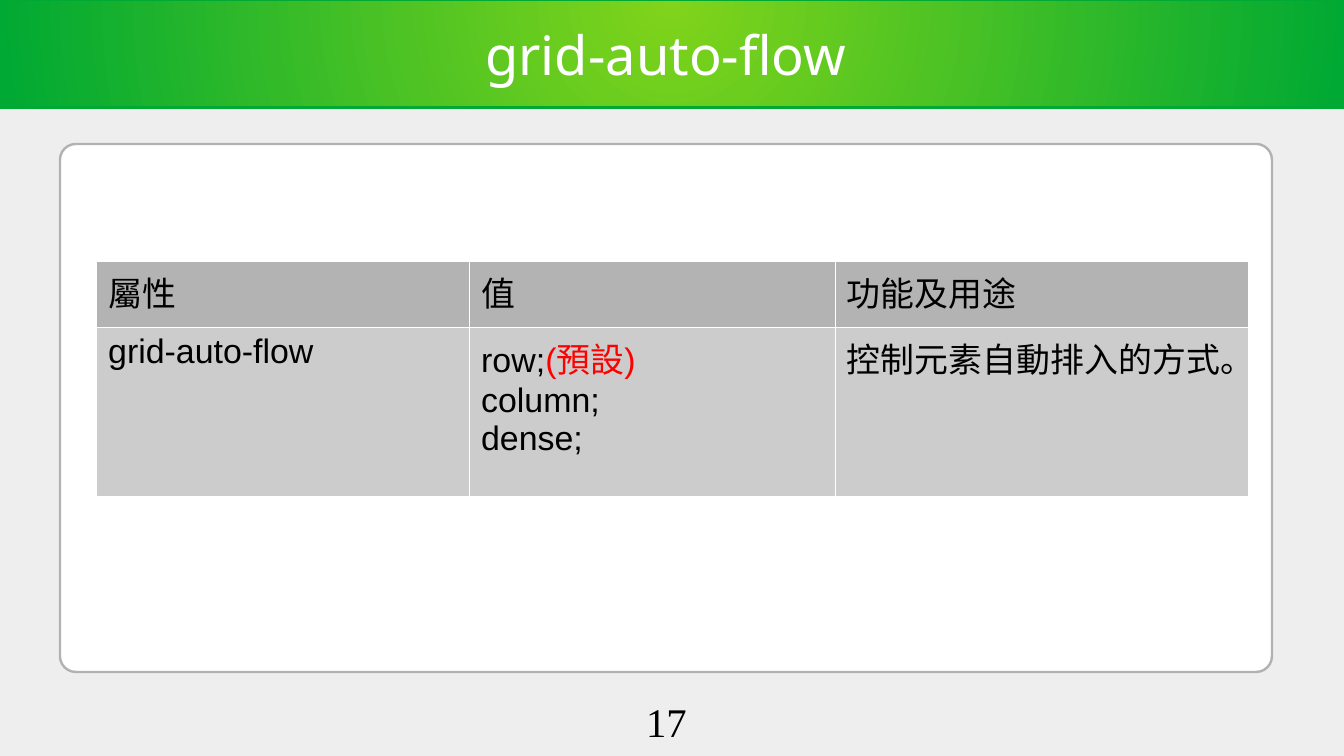
from lxml.etree import SubElement
from pptx import Presentation
from pptx.dml.color import RGBColor
from pptx.enum.shapes import MSO_SHAPE as Preset
from pptx.enum.text import MSO_ANCHOR as Anchor, PP_ALIGN as Align
from pptx.oxml.ns import qn
from pptx.util import Cm, Pt

WHITE = RGBColor(0xFF, 0xFF, 0xFF)
BLACK = RGBColor(0, 0, 0)
RED = RGBColor(0xFF, 0, 0)
LIME = RGBColor(0x81, 0xD4, 0x1A)
GREEN = RGBColor(0, 0xA9, 0x33)
PAPER = RGBColor(0xEE, 0xEE, 0xEE)
PANEL_EDGE = RGBColor(0xB2, 0xB2, 0xB2)
HEADER_FILL = RGBColor(0xB3, 0xB3, 0xB3)
BODY_FILL = RGBColor(0xCC, 0xCC, 0xCC)

SERIF, SANS, TITLE_FONT = "Times New Roman", "Arial", "Noto Sans"
COLUMN_WIDTHS = (7.77, 7.62, 8.61)
ROW_HEIGHTS = (1.37, 3.53)
# Each cell is a font and its paragraphs; each paragraph is a list of (text, colour).
ROWS = (
    (HEADER_FILL, (
        (SERIF, [[("屬性", BLACK)]]),
        (SERIF, [[("值", BLACK)]]),
        (SERIF, [[("功能及用途", BLACK)]]),
    )),
    (BODY_FILL, (
        (SANS, [[("grid-auto-flow", BLACK)]]),
        (SANS, [[("row;", BLACK), ("(預設)", RED)],
                [("column;", BLACK)],
                [("dense;", BLACK)]]),
        (SERIF, [[("控制元素自動排入的方式。", BLACK)]]),
    )),
)


def set_font(font, name, size, color):
    font.name, font.size = name, Pt(size)
    font.color.rgb = color


def add_box(page, preset, left, top, width, height, edge):
    box = page.shapes.add_shape(preset, Cm(left), Cm(top), Cm(width), Cm(height))
    box.shadow.inherit = False
    box.line.color.rgb = edge
    box.line.width = Pt(1.42)
    return box


def fill_from_top_centre(box, inner, outer):
    """Give the box a circular gradient centred on its top edge."""
    box.fill.gradient()
    for stop, color in zip(box.fill.gradient_stops, (inner, outer)):
        stop.color.rgb = color
    gradient = box._element.spPr.find(qn("a:gradFill"))
    gradient.remove(gradient.find(qn("a:lin")))
    circle = SubElement(gradient, qn("a:path"), path="circle")
    SubElement(circle, qn("a:fillToRect"), l="50000", t="0", r="50000", b="100000")


def place_title(page, text):
    title = page.shapes.title
    title.left, title.top, title.width, title.height = Cm(1.25), Cm(0.25), Cm(25.25), Cm(1.75)
    frame = title.text_frame
    frame.text = text
    frame.vertical_anchor = Anchor.MIDDLE
    frame.margin_left = frame.margin_right = frame.margin_top = frame.margin_bottom = 0
    para = frame.paragraphs[0]
    para.alignment = Align.CENTER
    set_font(para.font, TITLE_FONT, 32, WHITE)
    # The title sits in front of the band.
    page.shapes._spTree.append(title._element)


def add_page_number(page, text):
    box = page.shapes.add_textbox(Cm(10), Cm(14.4), Cm(7.77), Cm(1.2))
    box.text_frame.word_wrap = True
    para = box.text_frame.paragraphs[0]
    para.text = text
    para.alignment = Align.CENTER
    set_font(para.font, SERIF, 24, BLACK)


def set_borders(cell):
    properties = cell._tc.get_or_add_tcPr()
    for position, side in enumerate(("a:lnL", "a:lnR", "a:lnT", "a:lnB")):
        line = SubElement(properties, qn(side), w=str(Pt(0.06)))
        SubElement(SubElement(line, qn("a:solidFill")), qn("a:srgbClr"), val=str(WHITE))
        properties.insert(position, line)


def fill_cell(cell, fill, font_name, paragraphs):
    cell.fill.solid()
    cell.fill.fore_color.rgb = fill
    set_borders(cell)
    frame = cell.text_frame
    for index, spans in enumerate(paragraphs):
        para = frame.add_paragraph() if index else frame.paragraphs[0]
        for text, color in spans:
            span = para.add_run()
            span.text = text
            set_font(span.font, font_name, 20, color)


def add_property_table(page):
    table = page.shapes.add_table(
        len(ROWS), len(COLUMN_WIDTHS), Cm(2), Cm(5.44),
        Cm(sum(COLUMN_WIDTHS)), Cm(sum(ROW_HEIGHTS))).table
    table.first_row = table.horz_banding = False
    for column, width in zip(table.columns, COLUMN_WIDTHS):
        column.width = Cm(width)
    for row, height, (fill, contents) in zip(table.rows, ROW_HEIGHTS, ROWS):
        row.height = Cm(height)
        for cell, (font_name, paragraphs) in zip(row.cells, contents):
            fill_cell(cell, fill, font_name, paragraphs)


def main():
    deck = Presentation()
    deck.slide_width, deck.slide_height = Cm(28), Cm(15.75)
    page = deck.slides.add_slide(deck.slide_layouts.get_by_name("Title Only"))
    page.background.fill.solid()
    page.background.fill.fore_color.rgb = PAPER

    band = add_box(page, Preset.RECTANGLE, 0, 0, 28, 2.24, GREEN)
    fill_from_top_centre(band, LIME, GREEN)
    panel = add_box(page, Preset.ROUNDED_RECTANGLE, 1.25, 3, 25.25, 11, PANEL_EDGE)
    panel.adjustments[0] = 0.03
    panel.fill.solid()
    panel.fill.fore_color.rgb = WHITE

    place_title(page, "grid-auto-flow")
    add_page_number(page, "17")
    add_property_table(page)
    deck.save("out.pptx")


if __name__ == "__main__":
    main()
